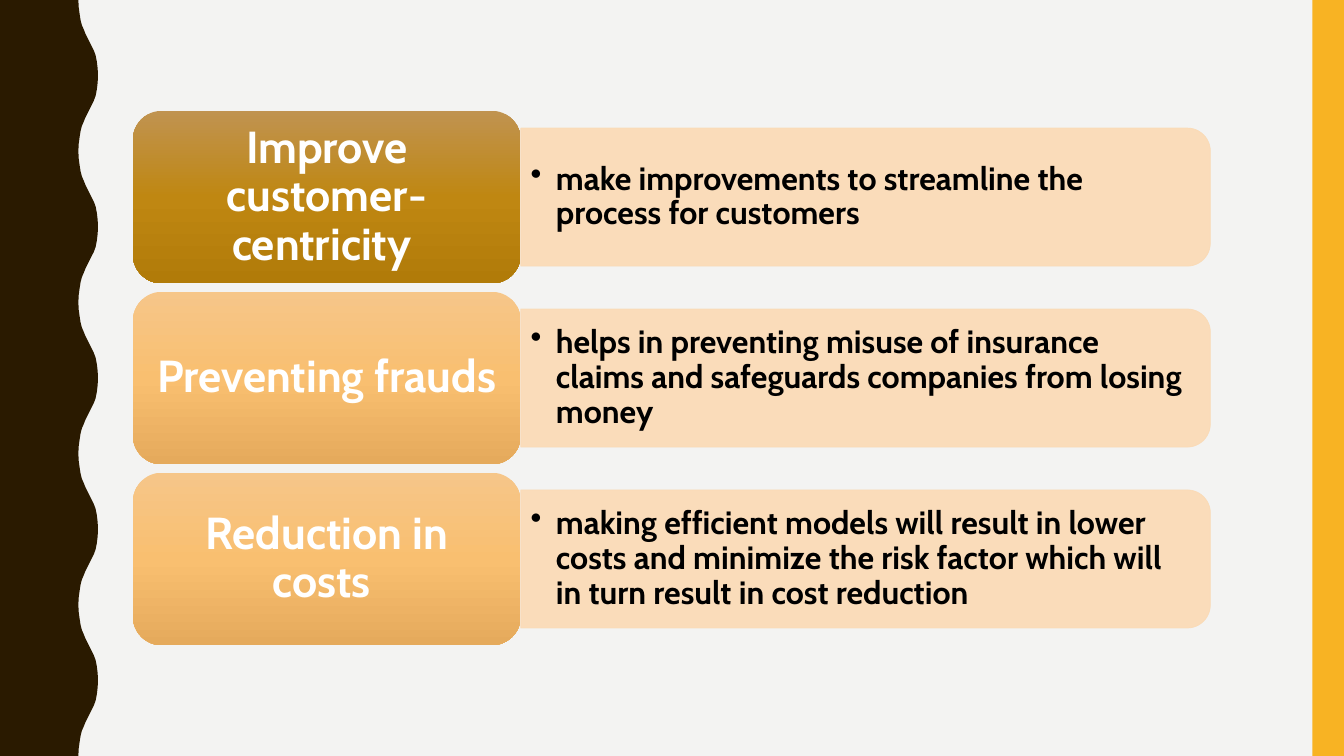
"""Build a slide of three insurance benefits beside a wavy border."""
from copy import deepcopy
from dataclasses import dataclass

from lxml import etree
from pptx import Presentation
from pptx.dml.color import RGBColor
from pptx.enum.shapes import MSO_SHAPE
from pptx.enum.text import MSO_ANCHOR, PP_ALIGN
from pptx.oxml.ns import qn
from pptx.util import Pt

ROUND_RECT = MSO_SHAPE.ROUNDED_RECTANGLE
ROUND_TOP = MSO_SHAPE.ROUND_2_SAME_RECTANGLE
RECT = MSO_SHAPE.RECTANGLE
MIDDLE = MSO_ANCHOR.MIDDLE
CENTER, LEFT = PP_ALIGN.CENTER, PP_ALIGN.LEFT

PAPER = RGBColor(0xF3, 0xF3, 0xF2)
BROWN = RGBColor(0x2A, 0x1A, 0x00)
YELLOW = RGBColor(0xF8, 0xB3, 0x23)
PEACH = RGBColor(0xFB, 0xDA, 0xB5)
WHITE = RGBColor(0xFF, 0xFF, 0xFF)
BLACK = RGBColor(0x00, 0x00, 0x00)
OCHRE = (RGBColor(0xC0, 0x93, 0x50), RGBColor(0xBF, 0x87, 0x12), RGBColor(0xB1, 0x7B, 0x09))
APRICOT = (RGBColor(0xF6, 0xC6, 0x89), RGBColor(0xF9, 0xBF, 0x70), RGBColor(0xE5, 0xAA, 0x5C))

FONT = "Cabin"
SLIDE_W, SLIDE_H = 960, 540
WAVES = 5
WAVE_H = SLIDE_H / WAVES
RISE = [(56, 0), (56.2, 5), (56.9, 10), (57.6, 14.5), (58.5, 18), (59.8, 21), (61, 24),
        (62.5, 27), (64, 30), (65.5, 33), (67, 36), (68.3, 39.5), (69.2, 44), (69.8, 49), (70, 54)]
LABEL_X, LABEL_Y, LABEL_W, LABEL_H = 95, 79.2, 277, 123.2
ROW_STEP = 129.25
PANEL_X, PANEL_W, PANEL_H = LABEL_X + LABEL_W, 492.5, 98.6
DETAIL_W, DETAIL_H = 487.7, 88.9


@dataclass
class Benefit:
    """A benefit with its label, detail and label gradient."""
    label: str
    detail: str
    colors: tuple[RGBColor, ...]


BENEFITS = [
    Benefit("Improve customer-centricity ",
            "make improvements to streamline the process for customers", OCHRE),
    Benefit("Preventing frauds",
            "helps in preventing misuse of insurance claims and safeguards companies "
            "from losing money", APRICOT),
    Benefit("Reduction in costs ",
            "making efficient models will result in lower costs and minimize the risk factor "
            "which will in turn result in cost reduction", APRICOT),
]


def add_plain(s, kind, x: float, y: float, w: float, h: float):
    """Add a preset shape without line or shadow."""
    sp = s.shapes.add_shape(kind, Pt(x), Pt(y), Pt(w), Pt(h))
    sp.shadow.inherit = False
    sp.line.fill.background()
    return sp


def paint(sp, color: RGBColor) -> None:
    """Fill a shape with one colour."""
    sp.fill.solid()
    sp.fill.fore_color.rgb = color


def paint_gradient(sp, colors: tuple[RGBColor, ...]) -> None:
    """Fill a shape with evenly spaced stops from top to bottom."""
    sp.fill.gradient()
    sp.fill.gradient_angle = 270
    first = next(sp.element.spPr.iter(qn("a:gs")))
    first.addnext(deepcopy(first))
    for i, (stop, color) in enumerate(zip(sp.fill.gradient_stops, colors)):
        stop.position = i / (len(colors) - 1)
        stop.color.rgb = color


def set_text(sp, text: str, size: float, color: RGBColor, align, inset_x: float, inset_y: float):
    """Write one bold paragraph, centred vertically, and return it."""
    tf = sp.text_frame
    tf.text = text
    tf.word_wrap = True
    tf.vertical_anchor = MIDDLE
    tf.margin_left = tf.margin_right = Pt(inset_x)
    tf.margin_top = tf.margin_bottom = Pt(inset_y)
    p = tf.paragraphs[0]
    p.alignment = align
    p.line_spacing = 0.9
    font = p.runs[0].font
    font.name, font.size, font.bold = FONT, Pt(size), True
    font.color.rgb = color
    return p


def add_wave(s) -> None:
    """Draw the wavy border on the left."""
    wave = RISE + [(x, WAVE_H - y) for x, y in RISE[-2::-1]]
    edge = [(x, y + i * WAVE_H) for i in range(WAVES) for x, y in wave]
    builder = s.shapes.build_freeform(0, 0)
    builder.add_line_segments([(Pt(x), Pt(y)) for x, y in edge + [(0, SLIDE_H)]])
    sp = builder.convert_to_shape()
    sp.shadow.inherit = False
    sp.line.fill.background()
    paint(sp, BROWN)


def add_panel(s, mid_y: float) -> None:
    """Draw a translucent panel with its right corners rounded."""
    sp = add_plain(s, ROUND_TOP, PANEL_X + (PANEL_W - PANEL_H) / 2, mid_y - PANEL_W / 2,
                   PANEL_H, PANEL_W)
    sp.rotation = 90
    paint(sp, PEACH)
    sp.line.color.rgb = PEACH
    sp.line.width = Pt(0.5)
    for color in sp.element.spPr.iter(qn("a:srgbClr")):
        etree.SubElement(color, qn("a:alpha"), val="90000")


def add_detail(s, text: str, mid_y: float) -> None:
    """Write a bulleted detail on its panel."""
    box = s.shapes.add_textbox(Pt(PANEL_X), Pt(mid_y - DETAIL_H / 2), Pt(DETAIL_W), Pt(DETAIL_H))
    p = set_text(box, text, 23, BLACK, LEFT, 7.2, 3.6)
    pPr = p._p.get_or_add_pPr()
    pPr.set("marL", str(Pt(18)))
    pPr.set("indent", str(-Pt(18)))
    etree.SubElement(pPr, qn("a:buChar"), char="•")


def add_benefit(s, benefit: Benefit, y: float) -> None:
    """Draw one row: panel, detail and label."""
    mid_y = y + LABEL_H / 2
    add_panel(s, mid_y)
    add_detail(s, benefit.detail, mid_y)
    sp = add_plain(s, ROUND_RECT, LABEL_X, y, LABEL_W, LABEL_H)
    paint_gradient(sp, benefit.colors)
    set_text(sp, benefit.label, 32, WHITE, CENTER, 9.6, 4.8)


def main() -> None:
    """Build and save the slide."""
    prs = Presentation()
    prs.slide_width, prs.slide_height = Pt(SLIDE_W), Pt(SLIDE_H)
    s = prs.slides.add_slide(prs.slide_layouts[6])
    s.background.fill.solid()
    s.background.fill.fore_color.rgb = PAPER
    add_wave(s)
    paint(add_plain(s, RECT, 937.5, 0, 22.5, SLIDE_H), YELLOW)
    for i, benefit in enumerate(BENEFITS):
        add_benefit(s, benefit, LABEL_Y + i * ROW_STEP)
    prs.save("out.pptx")


if __name__ == "__main__":
    main()
